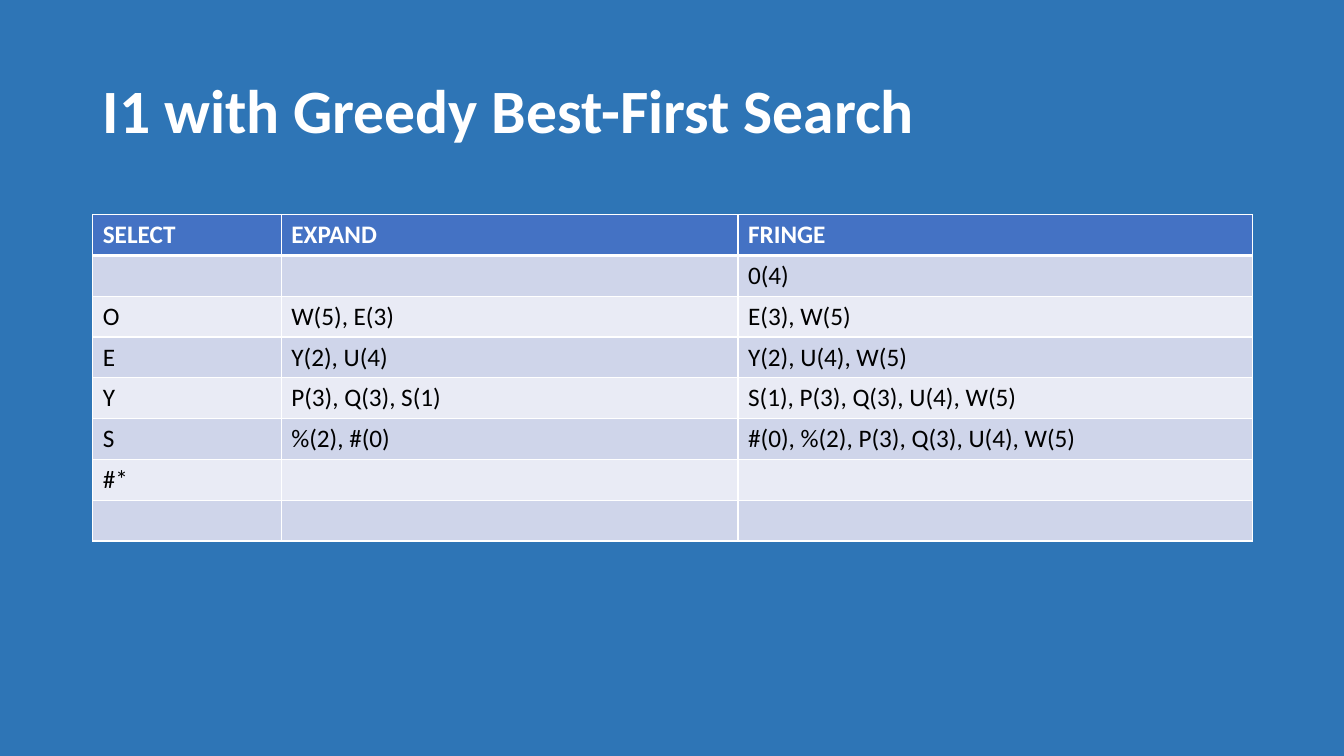
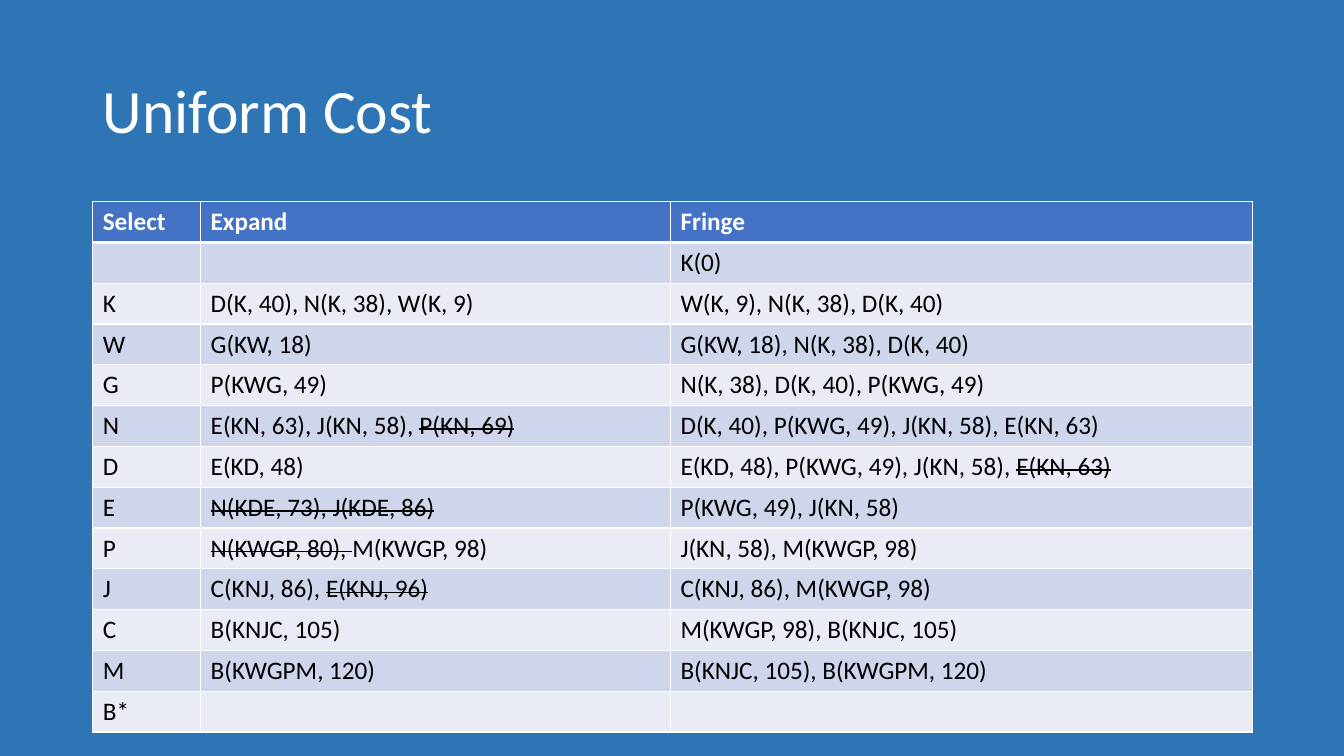
from pptx import Presentation
from pptx.dml.color import RGBColor
from pptx.enum.text import MSO_ANCHOR
from pptx.oxml import parse_xml
from pptx.oxml.ns import nsdecls
from pptx.util import Inches, Pt

COLORS = {
    "background": "2E75B6",
    "header": "4472C4",
    "odd_row": "CFD5EA",
    "even_row": "E9EBF5",
    "light": "FFFFFF",
    "dark": "000000",
}
FONT = "Calibri"
LEFT, WIDTH = 0.92, 11.5
ROW_HEIGHT = 0.405
STRIKE = "~"

SLIDES = [
    {
        "title": "I1 with Greedy Best-First Search",
        "bold": True,
        "top": 2.13,
        "columns": [1.87, 4.53, 5.1],
        "rows": [
            ("SELECT", "EXPAND", "FRINGE"),
            ("", "", "0(4)"),
            ("O", "W(5), E(3)", "E(3), W(5)"),
            ("E", "Y(2), U(4)", "Y(2), U(4), W(5)"),
            ("Y", "P(3), Q(3), S(1)", "S(1), P(3), Q(3), U(4), W(5)"),
            ("S", "%(2), #(0)", "#(0), %(2), P(3), Q(3), U(4), W(5)"),
            ("#*", "", ""),
            ("", "", ""),
        ],
    },
    {
        "title": "Uniform Cost",
        "bold": False,
        "top": 2,
        "columns": [1.07, 4.66, 5.77],
        "rows": [
            ("Select", "Expand", "Fringe"),
            ("", "", "K(0)"),
            ("K", "D(K, 40), N(K, 38), W(K, 9)", "W(K, 9), N(K, 38), D(K, 40)"),
            ("W", "G(KW, 18)", "G(KW, 18), N(K, 38), D(K, 40)"),
            ("G", "P(KWG, 49)", "N(K, 38), D(K, 40), P(KWG, 49)"),
            ("N", "E(KN, 63), J(KN, 58), ~P(KN, 69)~", "D(K, 40), P(KWG, 49), J(KN, 58), E(KN, 63)"),
            ("D", "E(KD, 48)", "E(KD, 48), P(KWG, 49), J(KN, 58), ~E(KN, 63)~"),
            ("E", "~N(KDE, 73), J(KDE, 86)~", "P(KWG, 49), J(KN, 58)"),
            ("P", "~N(KWGP, 80), ~M(KWGP, 98)", "J(KN, 58), M(KWGP, 98)"),
            ("J", "C(KNJ, 86), ~E(KNJ, 96)~", "C(KNJ, 86), M(KWGP, 98)"),
            ("C", "B(KNJC, 105)", "M(KWGP, 98), B(KNJC, 105)"),
            ("M", "B(KWGPM, 120)", "B(KNJC, 105), B(KWGPM, 120)"),
            ("B*", "", ""),
        ],
    },
]


def style_font(font, size, color, bold):
    font.name = FONT
    font.size = Pt(size)
    font.bold = bold
    font.color.rgb = RGBColor.from_string(COLORS[color])


def style_cell(cell, row_index):
    properties = cell._tc.get_or_add_tcPr()
    thick_side = {0: "B", 1: "T"}.get(row_index)
    for side in "LRTB":
        width = Pt(3 if side == thick_side else 1)
        properties.append(parse_xml(
            f'<a:ln{side} {nsdecls("a")} w="{width}"><a:solidFill>'
            f'<a:srgbClr val="{COLORS["light"]}"/></a:solidFill></a:ln{side}>'
        ))
    fill = "header" if row_index == 0 else "odd_row" if row_index % 2 else "even_row"
    cell.fill.solid()
    cell.fill.fore_color.rgb = RGBColor.from_string(COLORS[fill])


presentation = Presentation()
presentation.slide_width = Inches(13.33)
presentation.slide_height = Inches(7.5)

for content in SLIDES:
    slide = presentation.slides.add_slide(presentation.slide_layouts[6])
    slide.background.fill.solid()
    slide.background.fill.fore_color.rgb = RGBColor.from_string(COLORS["background"])

    title = slide.shapes.add_textbox(Inches(LEFT), Inches(0.4), Inches(WIDTH), Inches(1.45))
    title.text_frame.word_wrap = True
    title.text_frame.vertical_anchor = MSO_ANCHOR.MIDDLE
    title.text_frame.text = content["title"]
    paragraph = title.text_frame.paragraphs[0]
    paragraph.line_spacing = 0.9
    style_font(paragraph.runs[0].font, 44, "light", content["bold"])

    rows = content["rows"]
    columns = content["columns"]
    table = slide.shapes.add_table(
        len(rows), len(columns), Inches(LEFT), Inches(content["top"]),
        Inches(WIDTH), Inches(ROW_HEIGHT * len(rows)),
    ).table
    for column, width in zip(table.columns, columns):
        column.width = Inches(width)

    for row_index, row in enumerate(rows):
        is_header = row_index == 0
        for column_index, text in enumerate(row):
            cell = table.cell(row_index, column_index)
            style_cell(cell, row_index)
            paragraph = cell.text_frame.paragraphs[0]
            style_font(paragraph.font, 18, "light" if is_header else "dark", is_header)
            for part_index, part in enumerate(text.split(STRIKE)):
                if not part:
                    continue
                run = paragraph.add_run()
                run.text = part
                style_font(run.font, 18, "light" if is_header else "dark", is_header)
                if part_index % 2:
                    run._r.get_or_add_rPr().set("strike", "sngStrike")

presentation.save("out.pptx")
